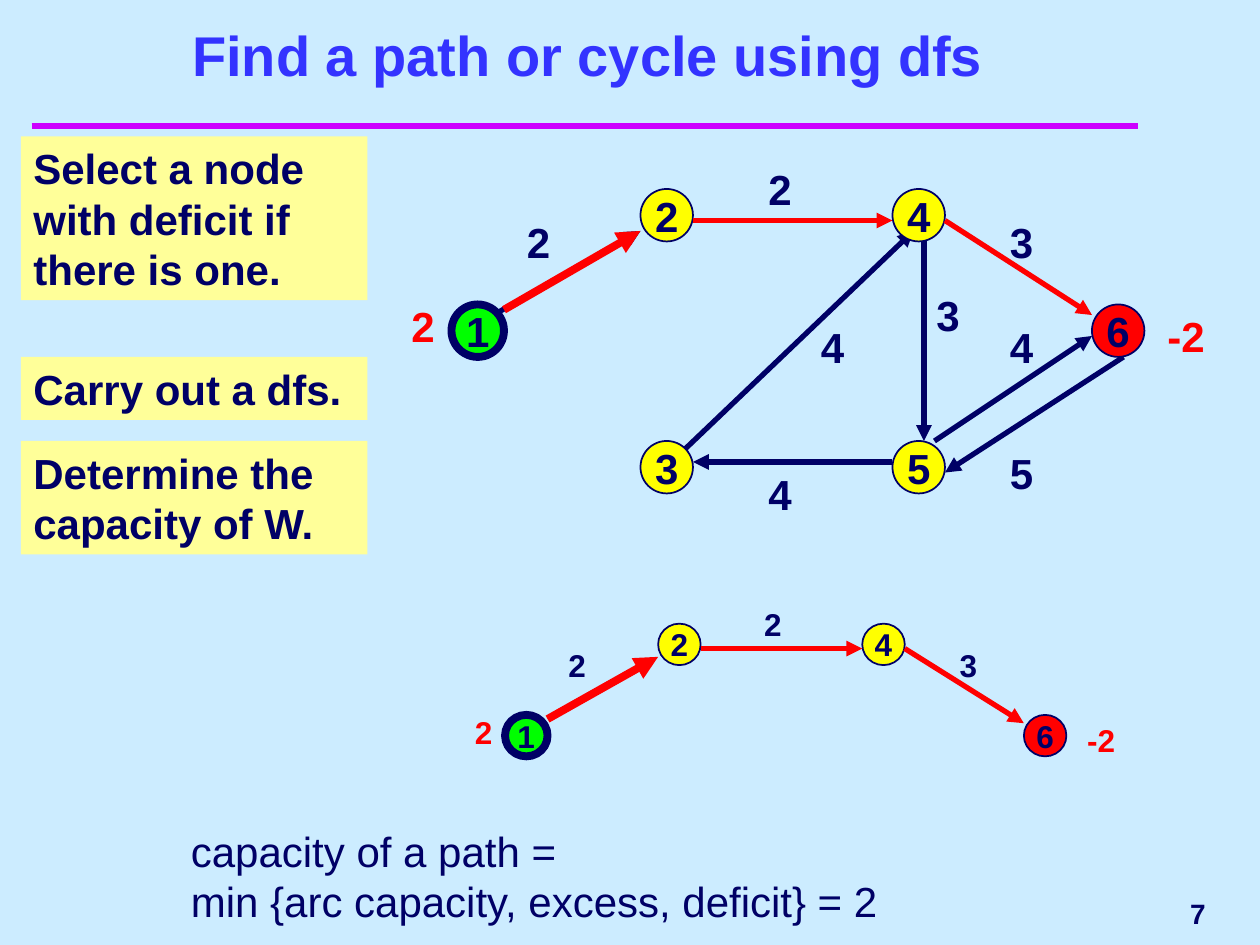
import pptx
import pptx.dml.color
import pptx.enum.shapes
import pptx.enum.text
import pptx.oxml
import pptx.oxml.ns
import pptx.util

ALIGN = pptx.enum.text.PP_ALIGN
ANCHOR = pptx.enum.text.MSO_ANCHOR
SHAPE = pptx.enum.shapes.MSO_SHAPE

COLORS = {
    "sky": "CCECFF", "navy": "000066", "title": "3333FF", "rule": "CC00FF",
    "note": "FFFF99", "yellow": "FFFF00", "green": "00FF00", "red": "FF0000",
}
CELL = 1 / 12  # grid step in inches
NODE_SIZE = 5
LABEL_SIZE = (8, 6)

# Positions are columns and rows of the grid.
NODES = {
    "1": (43, 29, "green"), "2": (61, 18, "yellow"), "3": (61, 42, "yellow"),
    "4": (85, 18, "yellow"), "5": (85, 42, "yellow"), "6": (104, 29, "red"),
}
PATH_LABELS = [
    ("2", 49, 20, "navy"), ("2", 72, 15, "navy"), ("3", 95, 20, "navy"),
    ("2", 38, 28, "red"), ("-2", 110, 29, "red"),
]
OTHER_LABELS = [
    ("4", 77, 30, "navy"), ("4", 95, 30, "navy"), ("3", 88, 27, "navy"),
    ("5", 95, 42, "navy"), ("4", 72, 44, "navy"),
]
OTHER_ARCS = [
    (47, 30, 61, 22), (85, 44, 66, 44), (65, 43, 87, 22),
    (88, 23, 88, 42), (89, 42, 104, 32), (107, 34, 90, 45),
]
PATH_ARCS = [
    ((66, 21, 85, 21), 3), ((90, 21, 104, 30), 3), ((48, 29.5, 61, 22), 4.5),
]
NOTES = [
    ("Select a node with deficit if there is one.", 13, 15.6),
    ("Carry out a dfs.", 34, 6),
    ("Determine the capacity of W.", 42, 10.8),
]


class Frame:
    """Maps grid positions to the slide, scaled about the corner (43, 18)."""

    def __init__(self, left=43, top=18, sx=1, sy=1, font_size=24):
        self.left, self.top, self.sx, self.sy = left, top, sx, sy
        self.font_size = font_size

    def point(self, col, row):
        return (inches(self.left + (col - 43) * self.sx),
                inches(self.top + (row - 18) * self.sy))

    def box(self, col, row, cols, rows):
        return (*self.point(col, row),
                inches(cols * self.sx), inches(rows * self.sy))


def inches(cells):
    return pptx.util.Inches(cells * CELL)


def rgb(name):
    return pptx.dml.color.RGBColor.from_string(COLORS[name])


def write(sp, text, size, color="navy", bold=True, align=ALIGN.LEFT,
          anchor=ANCHOR.TOP, wrap=True):
    tf = sp.text_frame
    tf.text = text
    tf.word_wrap = wrap
    tf.auto_size = pptx.enum.text.MSO_AUTO_SIZE.NONE
    tf.vertical_anchor = anchor
    for p in tf.paragraphs:
        p.alignment = align
        for r in p.runs:
            r.font.name = "Arial"
            r.font.size = pptx.util.Pt(size)
            r.font.bold = bold
            r.font.color.rgb = rgb(color)


def add_label(shapes, box, text, size, color="navy", **style):
    write(shapes.add_textbox(*box), text, size, color, **style)


def add_filled(shapes, kind, box, fill):
    sp = shapes.add_shape(kind, *box)
    sp.shadow.inherit = False
    sp.fill.solid()
    sp.fill.fore_color.rgb = rgb(fill)
    sp.line.fill.background()
    return sp


def add_node(shapes, frame, name):
    col, row, fill = NODES[name]
    box = frame.box(col, row, NODE_SIZE, NODE_SIZE)
    sp = add_filled(shapes, SHAPE.OVAL, box, fill)
    sp.line.color.rgb = rgb("navy")
    sp.line.width = pptx.util.Pt(4.5 if name == "1" else 1)
    write(sp, name, frame.font_size, align=ALIGN.CENTER,
          anchor=ANCHOR.MIDDLE, wrap=False)


def add_line(shapes, start, end, color, width, arrow=True):
    cxn = shapes.add_connector(
        pptx.enum.shapes.MSO_CONNECTOR.STRAIGHT, *start, *end)
    cxn.line.color.rgb = rgb(color)
    cxn.line.width = pptx.util.Pt(width)
    if arrow:
        ln = cxn.line._get_or_add_ln()
        ln.append(pptx.oxml.parse_xml(
            f'<a:tailEnd {pptx.oxml.ns.nsdecls("a")} type="triangle"/>'))
    cxn._element.spPr.append(pptx.oxml.parse_xml(
        f'<a:effectLst {pptx.oxml.ns.nsdecls("a")}/>'))


def add_graph(shapes, frame, nodes, labels, arcs=()):
    """Draws other arcs, labels and nodes, then the red path on top."""
    def add_arc(arc, color, width):
        add_line(shapes, frame.point(*arc[:2]), frame.point(*arc[2:]),
                 color, width)

    for arc in arcs:
        add_arc(arc, "navy", 3)
    for text, col, row, color in labels:
        add_label(shapes, frame.box(col, row, *LABEL_SIZE), text,
                  frame.font_size, color)
    for name in nodes:
        add_node(shapes, frame, name)
    for arc, width in PATH_ARCS:
        add_arc(arc, "red", width)


def add_title(s, frame, text):
    sp = s.shapes.title
    sp.left, sp.top, sp.width, sp.height = frame.box(5, 4, 102, 5)
    write(sp, text, 32, "title", align=ALIGN.CENTER, anchor=ANCHOR.BOTTOM)


def main():
    prs = pptx.Presentation()
    prs.slide_width = pptx.util.Inches(10)
    prs.slide_height = pptx.util.Inches(7.5)
    s = prs.slides.add_slide(prs.slide_layouts[5])
    s.background.fill.solid()
    s.background.fill.fore_color.rgb = rgb("sky")

    full = Frame()
    add_line(s.shapes, full.point(3, 12), full.point(108.4, 12), "rule", 4,
             arrow=False)
    add_label(s.shapes, full.box(93, 84, 23, 6), "7", 16,
              align=ALIGN.RIGHT, anchor=ANCHOR.MIDDLE)
    add_title(s, full, "Find a path or cycle using dfs")

    add_graph(s.shapes, full, NODES, PATH_LABELS + OTHER_LABELS, OTHER_ARCS)
    for text, row, rows in NOTES:
        sp = add_filled(s.shapes, SHAPE.RECTANGLE,
                        full.box(2, row, 33, rows), "note")
        write(sp, text, 24)

    path = Frame(left=48.1, top=59.4, sx=0.81, sy=0.79, font_size=18)
    add_graph(s.shapes.add_group_shape().shapes, path, "1246", PATH_LABELS)
    add_label(s.shapes, full.box(17, 78, 79, 10.8),
              "capacity of a path =\nmin {arc capacity, excess, deficit} = 2",
              24, bold=False)
    prs.save("out.pptx")


if __name__ == "__main__":
    main()
